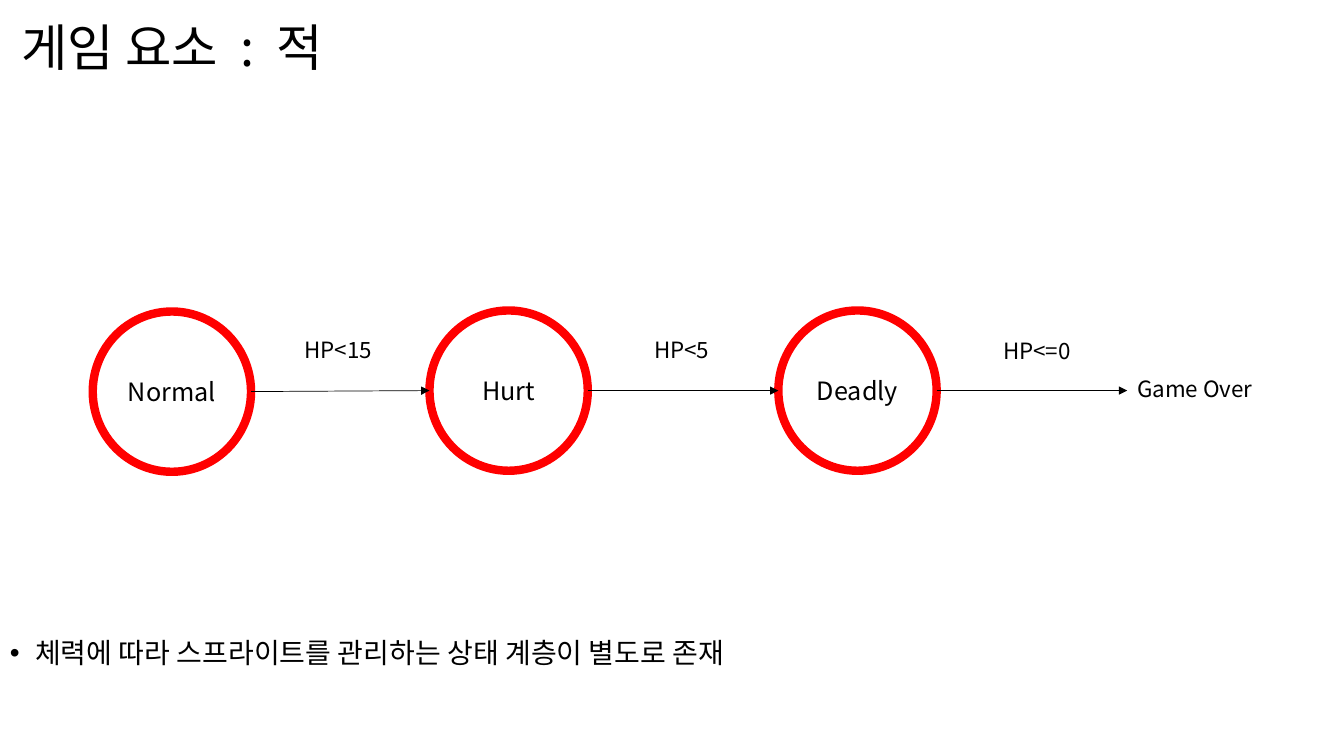
from lxml.etree import SubElement
from pptx import Presentation
from pptx.dml.color import RGBColor
from pptx.enum.shapes import MSO_CONNECTOR as Connector, MSO_SHAPE as Shape
from pptx.enum.text import MSO_ANCHOR as Anchor, MSO_AUTO_SIZE as AutoSize, PP_ALIGN as Align
from pptx.oxml.ns import qn
from pptx.util import Inches, Pt

FONT = "Noto Sans CJK KR"
BLACK, RED = "000000", "FF0000"
WIDTH, HEIGHT = 13.33, 7.5
DIAMETER = (1.57, 1.59)
ELLIPSE_LEFT, ELLIPSE_RIGHT = 2, 6

# name, left, top
STATES = [("Normal", 0.92, 3.09), ("Hurt", 4.26, 3.08), ("Deadly", 7.72, 3.08)]
# condition, left, top, width
CONDITIONS = [("HP<15", 2.92, 3.29, 0.9), ("HP<5", 6.39, 3.29, 0.78), ("HP<=0", 9.85, 3.3, 0.93)]
GAME_OVER = ("Game Over", 11.18, 3.67, 1.36)


def color(value):
    return RGBColor.from_string(value)


def style(para, size):
    font = para.font
    font.size, font.name = Pt(size), FONT
    font.color.rgb = color(BLACK)
    default = para._p.pPr.find(qn("a:defRPr"))
    SubElement(default, qn("a:ea")).set("typeface", FONT)


def place(shape, left, top, width, height):
    shape.left, shape.top = Inches(left), Inches(top)
    shape.width, shape.height = Inches(width), Inches(height)


def add_title(page, box):
    title = page.shapes.title
    place(title, *box)
    frame = title.text_frame
    frame.auto_size = AutoSize.NONE
    frame.vertical_anchor = Anchor.MIDDLE
    frame.margin_left = Inches(0.21)
    para = frame.paragraphs[0]
    para.alignment, para.line_spacing = Align.LEFT, 0.9
    for text, tracking in (("게임 요소", 0), (" :", 8), (" 적", 0)):
        span = para.add_run()
        span.text = text
        if tracking:
            span.font._element.set("spc", str(tracking * 100))
    style(para, 36)


def add_state(page, name, left, top):
    circle = page.shapes.add_shape(Shape.OVAL, Inches(left), Inches(top), *map(Inches, DIAMETER))
    circle.shadow.inherit = False
    circle.fill.background()
    circle.line.color.rgb, circle.line.width = color(RED), Pt(6)
    frame = circle.text_frame
    frame.vertical_anchor = Anchor.MIDDLE
    para = frame.paragraphs[0]
    para.text, para.alignment = name, Align.CENTER
    style(para, 18)
    return circle


def add_label(page, text, left, top, width):
    label = page.shapes.add_textbox(Inches(left), Inches(top), Inches(width), Inches(0.37))
    frame = label.text_frame
    frame.word_wrap, frame.auto_size = False, AutoSize.SHAPE_TO_FIT_TEXT
    para = frame.paragraphs[0]
    para.text = text
    style(para, 16)


def glue(arrow, end, circle, site):
    """Tie one end of an arrow to a connection site of a circle."""
    properties = arrow._element.find(".//" + qn("p:cNvCxnSpPr"))
    tie = SubElement(properties, qn(end))
    tie.set("id", str(circle.shape_id))
    tie.set("idx", str(site))


def add_arrow(page, source, target=None, length=1.89):
    """Arrow from one state to the next, or of a given length when no state follows."""
    start_x = source.left + source.width
    start_y = end_y = source.top + source.height // 2
    end_x = start_x + Inches(length)
    if target is not None:
        end_x, end_y = target.left, target.top + target.height // 2
    arrow = page.shapes.add_connector(Connector.STRAIGHT, start_x, start_y, end_x, end_y)
    glue(arrow, "a:stCxn", source, ELLIPSE_RIGHT)
    if target is not None:
        glue(arrow, "a:endCxn", target, ELLIPSE_LEFT)
    arrow.line.color.rgb, arrow.line.width = color(BLACK), Pt(0.5)
    line = arrow._element.spPr.find(qn("a:ln"))
    SubElement(line, qn("a:tailEnd")).set("type", "triangle")
    SubElement(arrow._element.spPr, qn("a:effectLst"))


def add_state_diagram(page):
    circles = [add_state(page, *state) for state in STATES]
    for source, target in zip(circles, circles[1:] + [None]):
        add_arrow(page, source, target)
    for label in CONDITIONS + [GAME_OVER]:
        add_label(page, *label)


def add_bullet(page, text, box):
    frame = page.shapes.add_textbox(*map(Inches, box)).text_frame
    frame.word_wrap = True
    para = frame.paragraphs[0]
    para.text, para.line_spacing = text, 0.9
    properties = para._p.get_or_add_pPr()
    properties.set("marL", str(Inches(0.25)))
    properties.set("indent", str(-Inches(0.25)))
    SubElement(properties, qn("a:buFont")).set("typeface", "Arial")
    SubElement(properties, qn("a:buChar")).set("char", "•")
    style(para, 20)


def main():
    deck = Presentation()
    deck.slide_width, deck.slide_height = Inches(WIDTH), Inches(HEIGHT)
    page = deck.slides.add_slide(deck.slide_layouts[5])
    add_title(page, (0, 0, 11.5, 0.99))
    add_state_diagram(page)
    add_bullet(page, "체력에 따라 스프라이트를 관리하는 상태 계층이 별도로 존재", (0, 6.29, 12.63, 1.2))
    deck.save("out.pptx")


if __name__ == "__main__":
    main()
